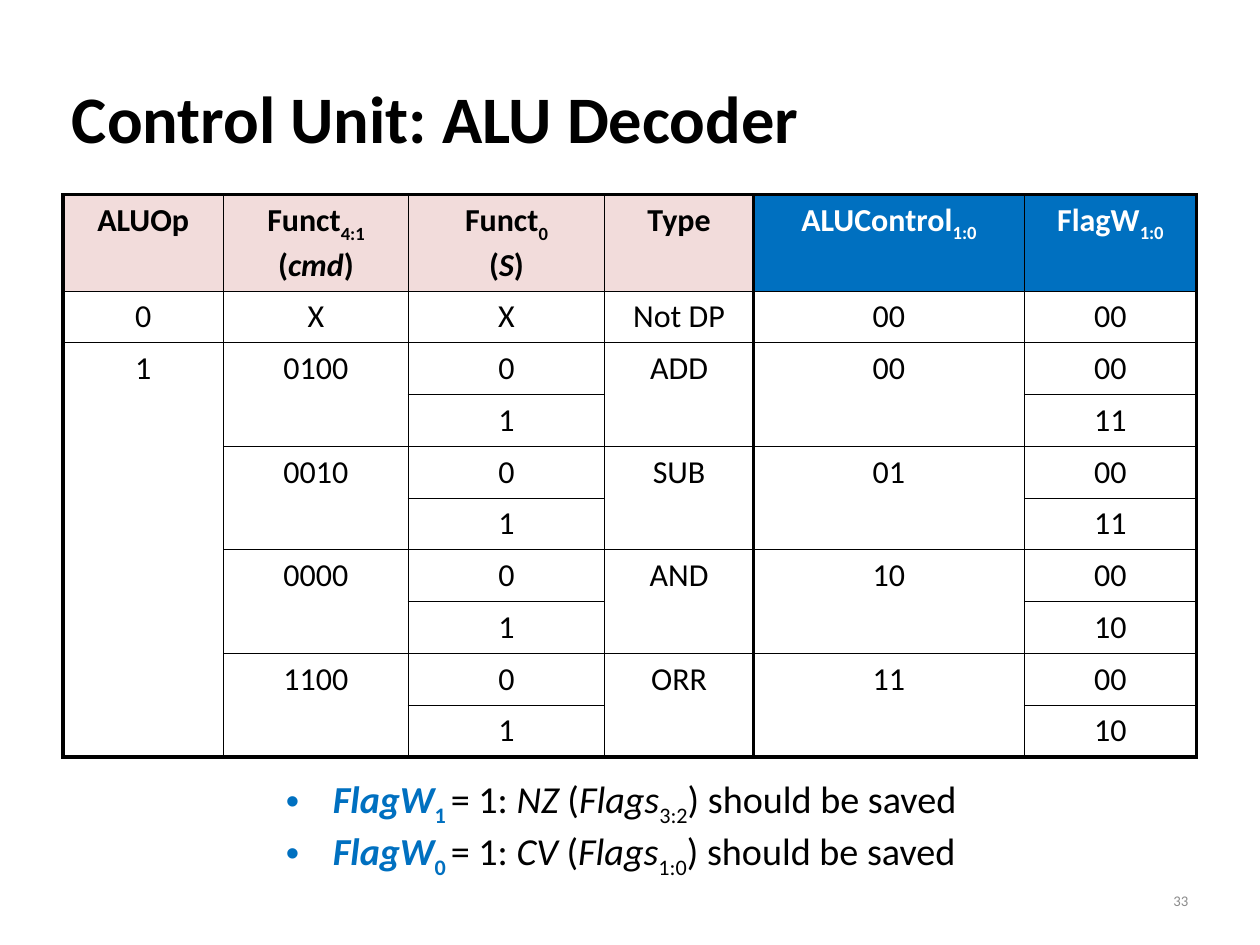
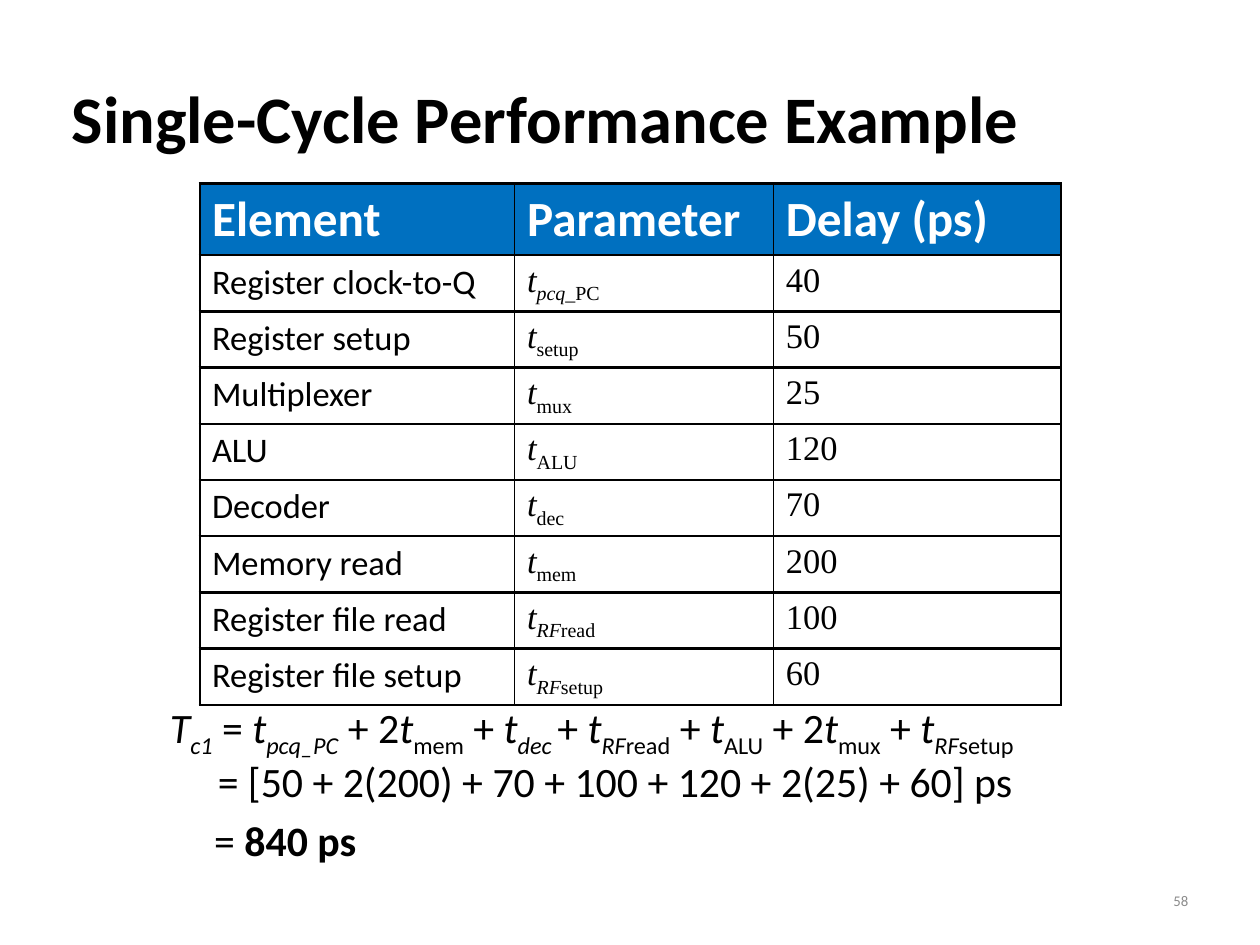
from lxml import etree
from pptx import Presentation
from pptx.dml.color import RGBColor
from pptx.enum.text import MSO_ANCHOR, MSO_AUTO_SIZE, PP_ALIGN
from pptx.oxml.ns import qn
from pptx.util import Inches, Pt

BLACK = RGBColor(0x00, 0x00, 0x00)
WHITE = RGBColor(0xFF, 0xFF, 0xFF)
BLUE = RGBColor(0x00, 0x70, 0xC0)
PINK = RGBColor(0xF2, 0xDC, 0xDB)
GREY = RGBColor(0x8C, 0x8C, 0x8C)
SANS, SERIF = "Calibri", "Times New Roman"
LEFT, CENTER, RIGHT = PP_ALIGN.LEFT, PP_ALIGN.CENTER, PP_ALIGN.RIGHT
TOP, MIDDLE = MSO_ANCHOR.TOP, MSO_ANCHOR.MIDDLE
NO_FIT = MSO_AUTO_SIZE.NONE

WIDTH, HEIGHT = Inches(14.22), Inches(10.67)
LIST_LAYOUT, TITLE_LAYOUT = 1, 5
MARKS = {"~": "italic", "*": "bold", "^": "low", "%": "lower", "#": "accent"}


def split_marks(text):
    active, piece = set(), ""
    for char in text:
        if char not in MARKS:
            piece += char
            continue
        if piece:
            yield piece, set(active)
        active ^= {MARKS[char]}
        piece = ""
    if piece:
        yield piece, active


def write(frame, text, size, font=SANS, color=BLACK, bold=False, align=LEFT,
          anchor=TOP, line=1.0, gaps=None, indents=None, hanging=0, bullet=None):
    frame.word_wrap = True
    frame.vertical_anchor = anchor
    for index, content in enumerate(text.split("\n")):
        para = frame.add_paragraph() if index else frame.paragraphs[0]
        para.alignment, para.line_spacing = align, line
        para.space_before = Pt(gaps[index] if gaps else 0)
        if indents:
            props = para._p.get_or_add_pPr()
            props.set("marL", str(Inches(indents[index])))
            props.set("indent", str(-Inches(hanging)))
            if bullet:
                etree.SubElement(props, qn("a:buChar")).set("char", bullet)
        for piece, marks in split_marks(content):
            span = para.add_run()
            span.text = piece
            span.font.name, span.font.size = font, Pt(size)
            span.font.bold = bold or "bold" in marks
            span.font.italic = "italic" in marks
            span.font.color.rgb = BLUE if "accent" in marks else color
            if marks & {"low", "lower"}:
                drop = "-30000" if "lower" in marks else "-25000"
                span._r.get_or_add_rPr().set("baseline", drop)


def set_border(cell, side, width):
    line = etree.SubElement(cell._tc.get_or_add_tcPr(), qn("a:ln" + side))
    line.set("w", str(Pt(width)))
    fill = etree.SubElement(line, qn("a:solidFill"))
    etree.SubElement(fill, qn("a:srgbClr")).set("val", str(BLACK))


def area(left, top, width, height):
    return (round(WIDTH * left / 100), round(HEIGHT * top / 100),
            round(WIDTH * width / 100), round(HEIGHT * height / 100))


class Lecture:
    def __init__(self):
        self.deck = Presentation()
        self.deck.slide_width, self.deck.slide_height = WIDTH, HEIGHT
        self.page = None

    def add_page(self, layout, title, number):
        self.page = self.deck.slides.add_slide(self.deck.slide_layouts[layout])
        self.fill_placeholder(self.page.shapes.title, (5, 4, 90, 16.7), title,
                              size=54, bold=True, anchor=MIDDLE)
        self.add_text((71.7, 92.7, 23.3, 5.3), str(number), size=12, color=GREY,
                      align=RIGHT, anchor=MIDDLE)

    def fill_placeholder(self, box, at, text, **style):
        box.left, box.top, box.width, box.height = area(*at)
        box.text_frame.auto_size = NO_FIT
        write(box.text_frame, text, **style)

    def add_list(self, at, text, **style):
        self.fill_placeholder(self.page.placeholders[1], at, text, **style)

    def add_text(self, at, text, inset=(0.1, 0.05), **style):
        frame = self.page.shapes.add_textbox(*area(*at)).text_frame
        frame.margin_left = frame.margin_right = Inches(inset[0])
        frame.margin_top = frame.margin_bottom = Inches(inset[1])
        write(frame, text, **style)

    def add_table(self, left, top, widths, heights, rows, fills, fonts, sizes,
                  heavy, heavy_columns, heavy_rows, inset, align=LEFT):
        at = area(left, top, sum(widths), sum(heights))
        table = self.page.shapes.add_table(len(rows), len(widths), *at).table
        table.first_row = table.horz_banding = False
        for column, width in zip(table.columns, widths):
            column.width = round(WIDTH * width / 100)
        for row, height in zip(table.rows, heights):
            row.height = round(HEIGHT * height / 100)

        def rule(index, heavy_lines):
            return heavy if index in heavy_lines else 1

        for r, values in enumerate(rows):
            for c, value in enumerate(values):
                cell = table.cell(r, c)
                end = r + 1
                while end < len(rows) and rows[end][c] is None:
                    end += 1
                if value is not None and end > r + 1:
                    cell.merge(table.cell(end - 1, c))
                set_border(cell, "L", rule(c, heavy_columns))
                set_border(cell, "R", rule(c + 1, heavy_columns))
                if value is not None:
                    set_border(cell, "T", rule(r, heavy_rows))
                if value is not None or end == r + 1:
                    set_border(cell, "B", rule(end, heavy_rows))
                fill = WHITE if r else fills[c]
                cell.fill.solid()
                cell.fill.fore_color.rgb = fill
                cell.margin_left = cell.margin_right = Inches(inset)
                cell.margin_top, cell.margin_bottom = Inches(0.07), Inches(0.02)
                if value is not None:
                    write(cell.text_frame, value, size=sizes[min(r, 1)],
                          font=fonts[c] if r else SANS, bold=r == 0,
                          color=WHITE if fill == BLUE else BLACK, align=align)


def add_decoder_page(lecture):
    lecture.add_page(LIST_LAYOUT, "Control Unit: ALU Decoder", 33)
    rows = [("ALUOp", "Funct%4:1%\n(~cmd~)", "Funct%0%\n(~S~)", "Type",
             "ALUControl^1:0^", "FlagW^1:0^"),
            ("0", "X", "X", "Not DP", "00", "00")]
    operations = [("0100", "ADD", "00", "11"), ("0010", "SUB", "01", "11"),
                  ("0000", "AND", "10", "10"), ("1100", "ORR", "11", "10")]
    for index, (command, kind, control, flags) in enumerate(operations):
        rows.append((None if index else "1", command, "0", kind, control, "00"))
        rows.append((None, None, "1", None, None, flags))
    lecture.add_table(5, 20.6, (12.75, 14.65, 15.6, 11.8, 21.5, 13.65),
                      [10.2] + [5.48] * 9, rows, fills=[PINK] * 4 + [BLUE] * 2,
                      fonts=[SANS] * 6, sizes=(26, 26), heavy=3,
                      heavy_columns={0, 4, 6}, heavy_rows={0, len(rows)},
                      inset=0.16, align=CENTER)
    lecture.add_list((17, 81.6, 69.2, 16.1),
                     "#*~FlagW~^1 ^*#= 1: ~NZ~ (~Flags~^3:2^) should be saved\n"
                     "#*~FlagW~^0 ^*#= 1: ~CV~ (~Flags~^1:0^) should be saved",
                     size=31, indents=(1.24, 1.24), hanging=0.53, bullet="•")


def add_performance_page(lecture):
    lecture.add_page(TITLE_LAYOUT, "Single-Cycle Performance Example", 58)
    rows = [("Element", "Parameter", "Delay (ps)"),
            ("Register clock-to-Q", "~t^pcq~_PC^", "40"),
            ("Register setup", "~t~^setup^", "50"),
            ("Multiplexer", "~t~^mux^", "25"),
            ("ALU", "~t~^ALU^", "120"),
            ("Decoder", "~t~^dec^", "70"),
            ("Memory read", "~t~^mem^", "200"),
            ("Register file read", "~t^RF~read^", "100"),
            ("Register file setup", "~t^RF~setup^", "60")]
    lecture.add_table(15.85, 19.4, (25, 20.55, 22.8), [7.6] + [5.95] * 8,
                      rows, fills=[BLUE] * 3, fonts=(SANS, SERIF, SERIF),
                      sizes=(40, 28), heavy=2.25, heavy_columns={0, 3},
                      heavy_rows=range(len(rows) + 1), inset=0.14)
    lecture.add_text((12.5, 73.7, 84.2, 15.6),
                     "~T^c1^~ = ~t^pcq_PC^~ + 2~t~^mem^ + ~t^dec ^~+ ~t^RF~read^"
                     " + ~t~^ALU^ + 2~t~^mux^ + ~t^RF~setup^\n"
                     "= [50 + 2(200) + 70 + 100 + 120 + 2(25) + 60] ps\n"
                     "= *840 ps*",
                     inset=(0.14, 0.07), size=34, line=0.9, gaps=(0, 6, 11),
                     indents=(0, 0.54, 0.5))


def main():
    lecture = Lecture()
    add_decoder_page(lecture)
    add_performance_page(lecture)
    lecture.deck.save("out.pptx")


if __name__ == "__main__":
    main()
